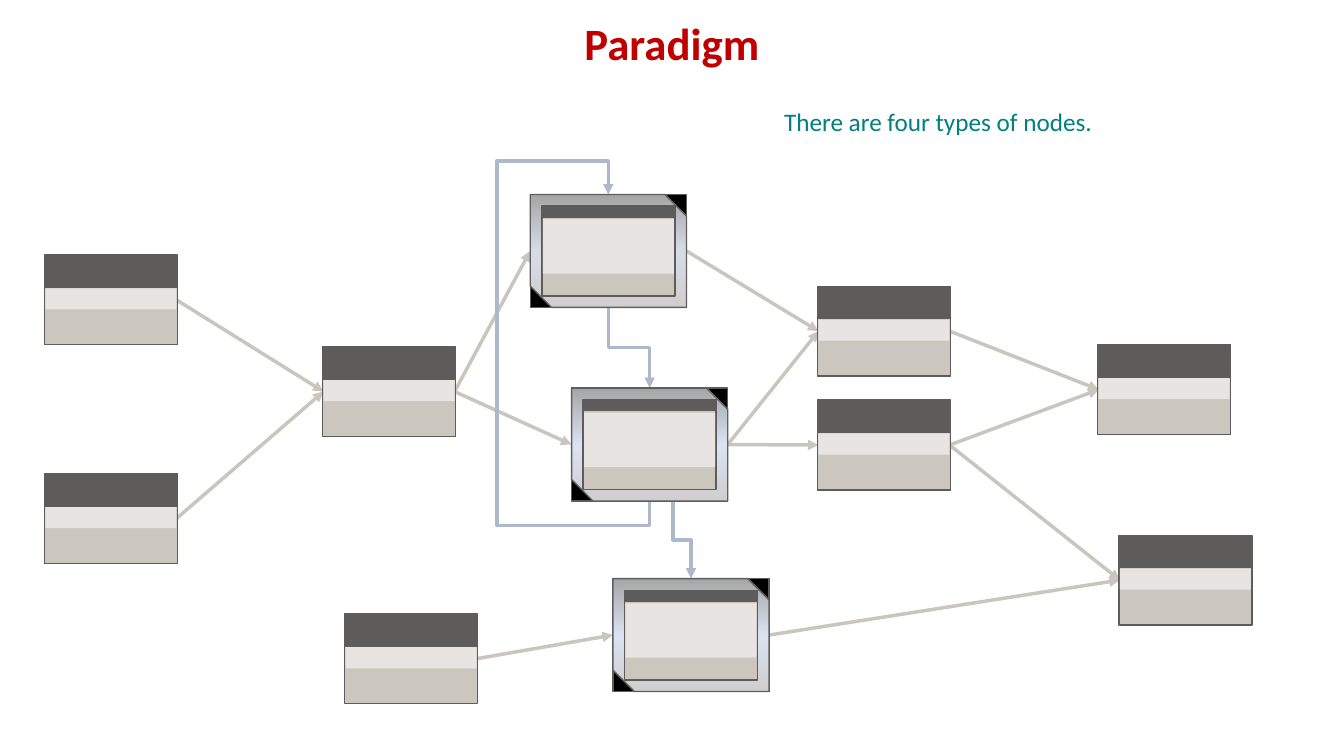
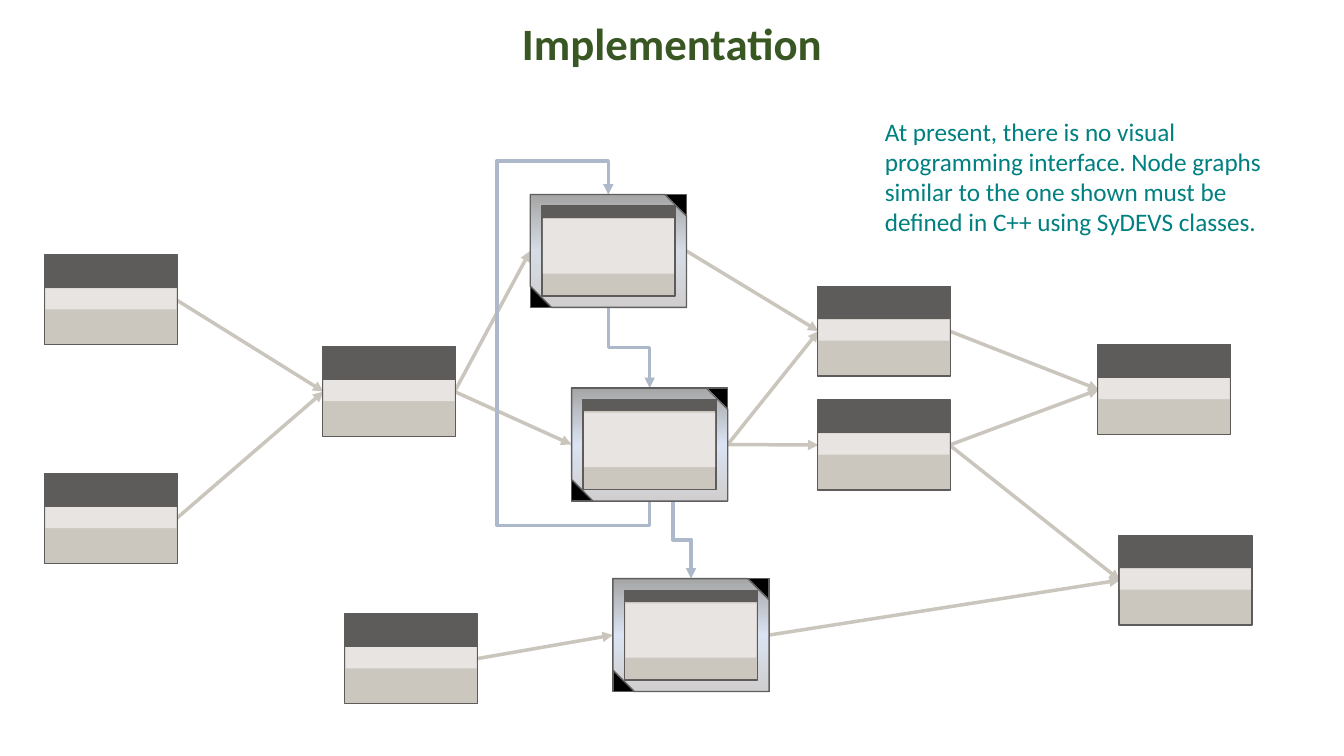
"""Build two slides that share one node graph, on a grid of tenth-inch columns and rows."""
from copy import deepcopy
from dataclasses import dataclass
from pptx import Presentation
from pptx.dml.color import RGBColor as Color
from pptx.enum.shapes import MSO_CONNECTOR as Connector, MSO_SHAPE as Shape
from pptx.enum.text import MSO_ANCHOR as Anchor, PP_ALIGN as Align
from pptx.oxml.ns import qn
from pptx.util import Inches, Pt


@dataclass(frozen=True)
class Theme:
    font: str = "Calibri"
    title_size: int = 32
    note_size: int = 18
    outline_width: float = 1
    arrow_width: float = 2.5
    paradigm: str = "C00000"
    implementation: str = "385723"
    note: str = "008080"
    dark: str = "5E5C5A"
    body: str = "CBC6BE"
    light: str = "E7E4E1"
    corner: str = "000000"
    frame_outline: str = "5F5F5F"
    frame_bottom: str = "D0CECE"
    frame_top: str = "A5A5A5"
    frame_blue: str = "DAE3F3"
    frame_grey: str = "D6DCE5"
    data_arrow: str = "CBC6BD"
    step_arrow: str = "ADB9CA"


THEME = Theme()
COLUMNS, ROWS = 133.33, 75
NODE_WIDTH, NODE_HEIGHT = 13.2, 8.9
FRAME_WIDTH, FRAME_HEIGHT = 15.5, 11.2
FRAME_MARGIN = 1.15
FRAME_SNIP = 0.19
PORT_INSET = 0.1

NODES = {
    "upper input": (4.4, 25.3),
    "lower input": (4.4, 47),
    "merge": (32, 34.4),
    "upper result": (81.1, 28.4),
    "lower result": (81.1, 39.7),
    "upper output": (108.9, 34.2),
    "lower output": (111, 53.1),
    "side input": (34.2, 60.9),
}
FRAMES = {
    "third step": (60.8, 57.4, THEME.frame_blue),
    "second step": (56.7, 38.5, THEME.frame_blue),
    "first step": (52.6, 19.3, THEME.frame_grey),
}
DATA_ARROWS = [
    ("merge", "first step"),
    ("upper input", "merge"),
    ("lower input", "merge"),
    ("first step", "upper result"),
    ("merge", "second step"),
    ("side input", "third step"),
    ("second step", "lower result"),
    ("lower result", "lower output"),
    ("third step", "lower output"),
    ("upper result", "upper output"),
    ("lower result", "upper output"),
    ("second step", "upper result"),
]
STEP_ARROWS = [
    ("first step", "second step", 0, (0.5,)),
    ("second step", "third step", 2.3, (0.5,)),
    ("second step", "first step", 0, (-0.08, 3.7, 1.11)),
]
NODE_LAYERS = [
    ((0, 3.2, NODE_WIDTH, 5.7), THEME.body, THEME.dark),
    ((0.1, 3.3, 13, 2.1), THEME.light, None),
    ((0, 0, NODE_WIDTH, 3.2), THEME.dark, THEME.dark),
]
INNER_LAYERS = [
    ((0, 0, NODE_WIDTH, NODE_HEIGHT), THEME.body, THEME.dark),
    ((0.1, 1.3, 13, 5.4), THEME.light, None),
    ((0.1, 0, 13.1, 1.1), THEME.dark, THEME.dark),
]
SLIDES = [
    ("Paradigm", THEME.paradigm, "There are four types of nodes.", (76.8, 10.1, 39.9, 4)),
    ("Implementation", THEME.implementation,
     "At present, there is no visual programming interface. Node graphs similar to the one "
     "shown must be defined in C++ using SyDEVS classes.", (86.8, 11, 39.9, 13.1)),
]


def grid(*cells):
    return [Inches(cell / 10) for cell in cells]


def apply_format(target, values):
    for name, value in values.items():
        setattr(target, name, value)


def set_line(line, color, width):
    line.color.rgb = Color.from_string(color)
    line.width = Pt(width)


def add_block(slide, place, fill, outline, kind=Shape.RECTANGLE):
    shape = slide.shapes.add_shape(kind, *grid(*place))
    shape.shadow.inherit = False
    if fill:
        shape.fill.solid()
        shape.fill.fore_color.rgb = Color.from_string(fill)
    if outline:
        set_line(shape.line, outline, THEME.outline_width)
    else:
        shape.line.fill.background()
    return shape


def add_layers(slide, left, top, layers):
    for (column, row, width, height), fill, outline in layers:
        add_block(slide, (left + column, top + row, width, height), fill, outline)


def fill_gradient(shape, colors):
    shape.fill.gradient()
    shape.fill.gradient_angle = 90
    stop_list = shape.fill._xPr.find(qn("a:gradFill")).find(qn("a:gsLst"))
    stop_list.append(deepcopy(stop_list[0]))
    for index, (stop, color) in enumerate(zip(shape.fill.gradient_stops, colors)):
        stop.position = index / (len(colors) - 1)
        stop.color.rgb = Color.from_string(color)


def add_frame(slide, left, top, middle):
    place = (left, top, FRAME_WIDTH, FRAME_HEIGHT)
    add_block(slide, place, THEME.corner, THEME.dark)
    frame = add_block(slide, place, None, THEME.frame_outline, Shape.SNIP_2_DIAG_RECTANGLE)
    frame.adjustments[0], frame.adjustments[1] = 0, FRAME_SNIP
    fill_gradient(frame, (THEME.frame_bottom, middle, THEME.frame_top))
    add_layers(slide, left + FRAME_MARGIN, top + FRAME_MARGIN, INNER_LAYERS)


def add_arrow(slide, kind, start, end, color):
    arrow = slide.shapes.add_connector(kind, *grid(*start, *end))
    set_line(arrow.line, color, THEME.arrow_width)
    line = arrow.line._get_or_add_ln()
    line.append(line.makeelement(qn("a:tailEnd"), {"type": "triangle"}))
    properties = arrow._element.spPr
    properties.append(properties.makeelement(qn("a:effectLst"), {}))
    return properties


def side_port(name, leaving):
    if name in FRAMES:
        left, top, _ = FRAMES[name]
        return left + leaving * FRAME_WIDTH, top + FRAME_HEIGHT / 2
    left, top = NODES[name]
    column = NODE_WIDTH - PORT_INSET if leaving else PORT_INSET
    return left + column, top + NODE_HEIGHT / 2


def add_data_arrow(slide, source, target):
    ends = side_port(source, True), side_port(target, False)
    add_arrow(slide, Connector.STRAIGHT, *ends, THEME.data_arrow)


def add_step_arrow(slide, source, target, shift, bends):
    source_left, source_top, _ = FRAMES[source]
    target_left, end_row, _ = FRAMES[target]
    start_column = source_left + FRAME_WIDTH / 2 + shift
    end_column = target_left + FRAME_WIDTH / 2
    start_row = source_top + FRAME_HEIGHT
    middle_column, middle_row = (start_column + end_column) / 2, (start_row + end_row) / 2
    reach, drift = abs(end_row - start_row) / 2, abs(end_column - start_column) / 2
    properties = add_arrow(slide, Connector.ELBOW,
                           (middle_column + reach, middle_row - drift),
                           (middle_column - reach, middle_row + drift), THEME.step_arrow)
    turn = 270 if end_row > start_row else 90
    properties.find(qn("a:xfrm")).set("rot", str(turn * 60000))
    geometry = properties.find(qn("a:prstGeom"))
    geometry.set("prst", f"bentConnector{len(bends) + 2}")
    guides = geometry.find(qn("a:avLst"))
    for number, bend in enumerate(bends, 1):
        formula = f"val {round(bend * 100000)}"
        guides.append(guides.makeelement(qn("a:gd"), {"name": f"adj{number}", "fmla": formula}))


def add_text(slide, place, text, color, font, paragraph_format=None, anchor=Anchor.TOP):
    frame = slide.shapes.add_textbox(*grid(*place)).text_frame
    apply_format(frame, {"word_wrap": True, "vertical_anchor": anchor})
    paragraph = frame.paragraphs[0]
    apply_format(paragraph, paragraph_format or {})
    run = paragraph.add_run()
    run.text = text
    apply_format(run.font, {"name": THEME.font, **font})
    run.font.color.rgb = Color.from_string(color)


def add_graph(slide):
    for arrow in DATA_ARROWS:
        add_data_arrow(slide, *arrow)
    for arrow in STEP_ARROWS:
        add_step_arrow(slide, *arrow)
    for frame in FRAMES.values():
        add_frame(slide, *frame)
    for left, top in NODES.values():
        add_layers(slide, left, top, NODE_LAYERS)


def main():
    presentation = Presentation()
    width, height = grid(COLUMNS, ROWS)
    apply_format(presentation, {"slide_width": width, "slide_height": height})
    for title, title_color, note, note_place in SLIDES:
        slide = presentation.slides.add_slide(presentation.slide_layouts[6])
        add_graph(slide)
        add_text(slide, (0, 1.6, COLUMNS, 5.9), title, title_color,
                 {"size": Pt(THEME.title_size), "bold": True},
                 {"alignment": Align.CENTER, "line_spacing": 0.9}, Anchor.BOTTOM)
        add_text(slide, note_place, note, THEME.note, {"size": Pt(THEME.note_size)})
    presentation.save("out.pptx")


if __name__ == "__main__":
    main()
